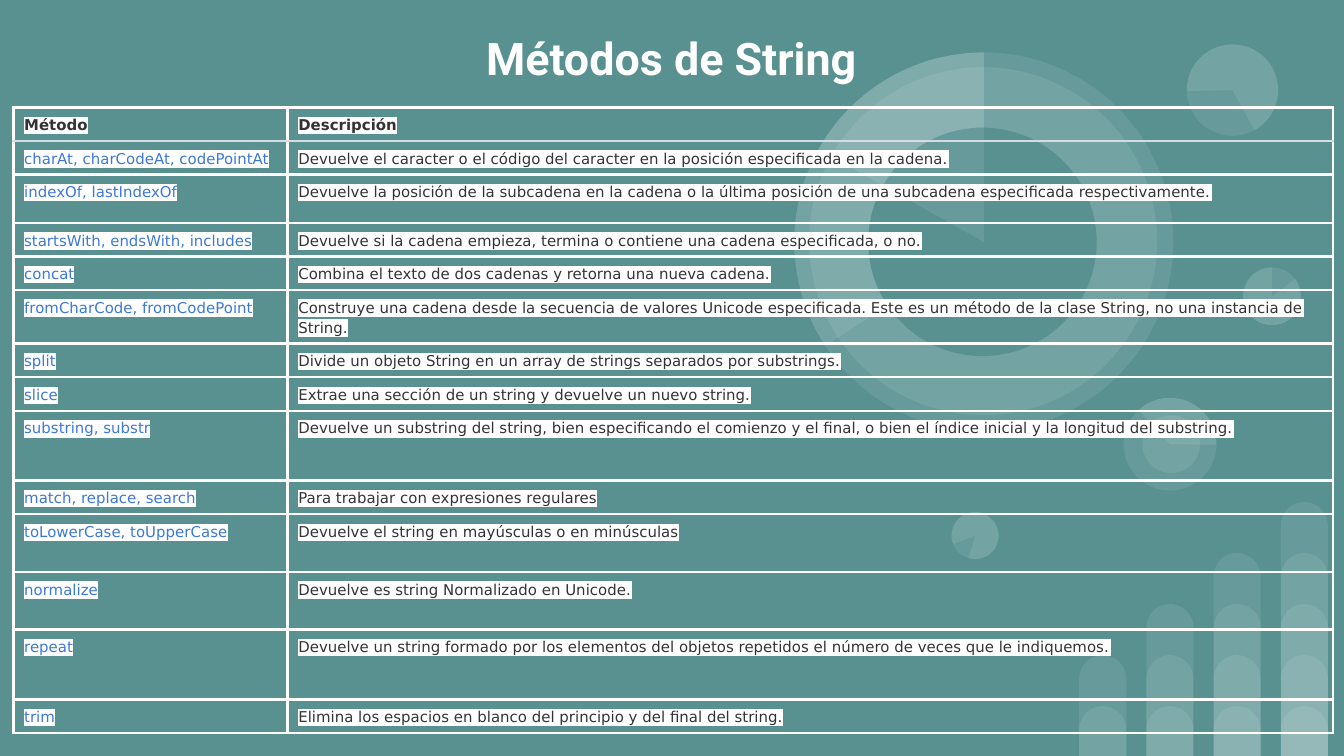
"""Build a slide listing the String methods over a decorative chart background."""
from dataclasses import dataclass

from lxml.etree import SubElement
from pptx import Presentation
from pptx.dml.color import RGBColor
from pptx.enum.shapes import MSO_SHAPE
from pptx.enum.text import MSO_ANCHOR, MSO_AUTO_SIZE, PP_ALIGN
from pptx.oxml.ns import qn
from pptx.util import Inches, Pt


@dataclass(frozen=True)
class Theme:
    background: str = "599191"
    white: str = "FFFFFF"
    text: str = "333333"
    method: str = "3C78D8"
    header_rule: str = "D4DDE4"
    title_font: str = "Roboto"
    table_font: str = "DejaVu Sans"
    title_size: float = 24
    table_size: float = 8
    border_width: float = 1.47
    veil_alpha: int = 9


THEME = Theme()
SLIDE_WIDTH = 10
SLIDE_HEIGHT = SLIDE_WIDTH * 9 / 16

HEADER = (0.18, "Método", "Descripción", 0)
METHODS = [
    (0.23, "charAt, charCodeAt, codePointAt",
     "Devuelve el caracter o el código del caracter en la posición especificada en la cadena.", 0),
    (0.36, "indexOf, lastIndexOf",
     "Devuelve la posición de la subcadena en la cadena o la última posición de una subcadena "
     "especificada respectivamente.", 0),
    (0.23, "startsWith, endsWith, includes",
     "Devuelve si la cadena empieza, termina o contiene una cadena especificada, o no.", 0),
    (0.23, "concat", "Combina el texto de dos cadenas y retorna una nueva cadena.", 0),
    (0.37, "fromCharCode, fromCodePoint",
     "Construye una cadena desde la secuencia de valores Unicode especificada. "
     "Este es un método de la clase String, no una instancia de String.", 0),
    (0.23, "split", "Divide un objeto String en un array de strings separados por substrings.", 0),
    (0.23, "slice", "Extrae una sección de un string y devuelve un nuevo string.", 0),
    (0.52, "substring, substr",
     "Devuelve un substring del string, bien especificando el comienzo y el final, "
     "o bien el índice inicial y la longitud del substring.", 18),
    (0.23, "match, replace, search", "Para trabajar con expresiones regulares", 0),
    (0.43, "toLowerCase, toUpperCase", "Devuelve el string en mayúsculas o en minúsculas", 18),
    (0.43, "normalize", "Devuelve es string Normalizado en Unicode.", 18),
    (0.52, "repeat",
     "Devuelve un string formado por los elementos del objetos repetidos el número de veces "
     "que le indiquemos.", 18),
    (0.23, "trim", "Elimina los espacios en blanco del principio y del final del string.", 0),
]
COLUMN_WIDTHS = (2.04, 7.78)


def color(code):
    """Turn a hex code into a colour."""
    return RGBColor.from_string(code)


def add_veil(group, preset, left, top, width, height, rotation=0, fill=THEME.white):
    """Add a borderless shape, translucent when it is white."""
    veil = group.shapes.add_shape(preset, Inches(left), Inches(top), Inches(width), Inches(height))
    veil.rotation = rotation
    veil.shadow.inherit = False
    veil.line.fill.background()
    veil.fill.solid()
    veil.fill.fore_color.rgb = color(fill)
    if fill == THEME.white:
        tint = veil.fill._xPr.find(".//" + qn("a:srgbClr"))
        SubElement(tint, qn("a:alpha"), val=str(THEME.veil_alpha * 1000))
    return veil


def add_disc(group, left, top, diameter, rotation=0, fill=THEME.white):
    """Add a circle."""
    add_veil(group, MSO_SHAPE.OVAL, left, top, diameter, diameter, rotation, fill)


def add_slice(group, left, top, diameter, start, end=270, rotation=0):
    """Add a pie slice between two angles in degrees."""
    wedge = add_veil(group, MSO_SHAPE.PIE, left, top, diameter, diameter, rotation)
    wedge.adjustments[0] = start * 0.6
    wedge.adjustments[1] = end * 0.6


def add_bars(slide):
    """Add the four columns of overlapping rounded bars."""
    group = slide.shapes.add_group_shape()
    for column in range(4):
        for level in range(column + 2):
            height = 0.37 + 0.38 * level
            bar = add_veil(group, MSO_SHAPE.ROUND_2_SAME_RECTANGLE,
                           8.03 + 0.5 * column, SLIDE_HEIGHT - height, 0.35, height)
            bar.adjustments[0] = 0.5
            bar.adjustments[1] = 0


def add_pies(slide):
    """Add the ring and the small pie charts."""
    group = slide.shapes.add_group_shape()
    add_disc(group, 9.25, 1.99, 0.43)
    add_slice(group, 9.25, 1.99, 0.43, 322.95)
    add_disc(group, 7.08, 3.81, 0.35, 196.2)
    add_slice(group, 7.08, 3.81, 0.35, 322.95, rotation=196.2)
    add_disc(group, 8.36, 2.96, 0.69, 90)
    add_slice(group, 8.36, 2.96, 0.69, 137.41, 270.77, 90)
    add_disc(group, 8.5, 3.09, 0.43, 90)
    add_disc(group, 8.83, 0.33, 0.68, 215.9)
    add_slice(group, 8.83, 0.33, 0.68, 322.95, 205.23, 215.9)
    add_disc(group, 5.91, 0.39, 2.82)
    add_disc(group, 6.02, 0.5, 2.59, 34.1)
    add_slice(group, 5.91, 0.39, 2.82, 146.69)
    add_disc(group, 6.46, 0.95, 1.7, 34.1, THEME.background)
    add_slice(group, 5.91, 0.39, 2.82, 209.24)


def style_font(paragraph, name, size, code, bold):
    """Set the font of a whole paragraph."""
    font = paragraph.font
    font.name, font.size, font.bold = name, Pt(size), bold
    font.color.rgb = color(code)


def place_title(slide, text):
    """Fill the title placeholder and bring it above the background art."""
    title = slide.shapes.title
    title.left, title.top, title.width, title.height = map(Inches, (0.73, 0.22, 8.53, 0.42))
    frame = title.text_frame
    frame.text = text
    frame.word_wrap = True
    frame.auto_size = MSO_AUTO_SIZE.NONE
    frame.vertical_anchor = MSO_ANCHOR.MIDDLE
    frame.margin_left = frame.margin_right = frame.margin_top = frame.margin_bottom = Inches(0.1)
    heading = frame.paragraphs[0]
    heading.alignment = PP_ALIGN.CENTER
    style_font(heading, THEME.title_font, THEME.title_size, THEME.white, True)
    slide.shapes._spTree.append(title._element)


def set_borders(cell, top, bottom):
    """Draw the four borders of a cell."""
    properties = cell._tc.get_or_add_tcPr()
    sides = {"L": THEME.white, "R": THEME.white, "T": top, "B": bottom}
    for side, code in sides.items():
        line = SubElement(properties, qn(f"a:ln{side}"), w=str(Pt(THEME.border_width)))
        SubElement(SubElement(line, qn("a:solidFill")), qn("a:srgbClr"), val=code)


def fill_cell(cell, text, code, bold, space_after):
    """Write highlighted text into a transparent cell."""
    cell.margin_left = cell.margin_right = Inches(0.08)
    cell.margin_top = cell.margin_bottom = Inches(0.05)
    cell.fill.background()
    entry = cell.text_frame.paragraphs[0]
    entry.line_spacing = 1.15
    entry.space_after = Pt(space_after)
    style_font(entry, THEME.table_font, THEME.table_size, code, bold)
    run = entry.add_run()
    run.text = text
    highlight = SubElement(run._r.get_or_add_rPr(), qn("a:highlight"))
    SubElement(highlight, qn("a:srgbClr"), val=THEME.white)


def add_method_table(slide):
    """Add the table of methods and descriptions."""
    rows = [HEADER, *METHODS]
    table = slide.shapes.add_table(len(rows), 2, Inches(0.1), Inches(0.8),
                                   Inches(sum(COLUMN_WIDTHS)),
                                   Inches(sum(row[0] for row in rows))).table
    table.horz_banding = False
    for column, width in zip(table.columns, COLUMN_WIDTHS):
        column.width = Inches(width)
    for index, (height, method, description, space_after) in enumerate(rows):
        table.rows[index].height = Inches(height)
        is_header = index == 0
        top = THEME.header_rule if index == 1 else THEME.white
        bottom = THEME.header_rule if is_header else THEME.white
        method_color = THEME.text if is_header else THEME.method
        method_cell, description_cell = table.rows[index].cells
        for cell in (method_cell, description_cell):
            set_borders(cell, top, bottom)
        fill_cell(method_cell, method, method_color, is_header, 0)
        fill_cell(description_cell, description, THEME.text, is_header, space_after)


def main():
    """Build and save the slide."""
    deck = Presentation()
    deck.slide_width, deck.slide_height = Inches(SLIDE_WIDTH), Inches(SLIDE_HEIGHT)
    slide = deck.slides.add_slide(deck.slide_layouts[5])
    slide.background.fill.solid()
    slide.background.fill.fore_color.rgb = color(THEME.background)
    add_bars(slide)
    add_pies(slide)
    place_title(slide, "Métodos de String")
    add_method_table(slide)
    deck.save("out.pptx")


if __name__ == "__main__":
    main()
